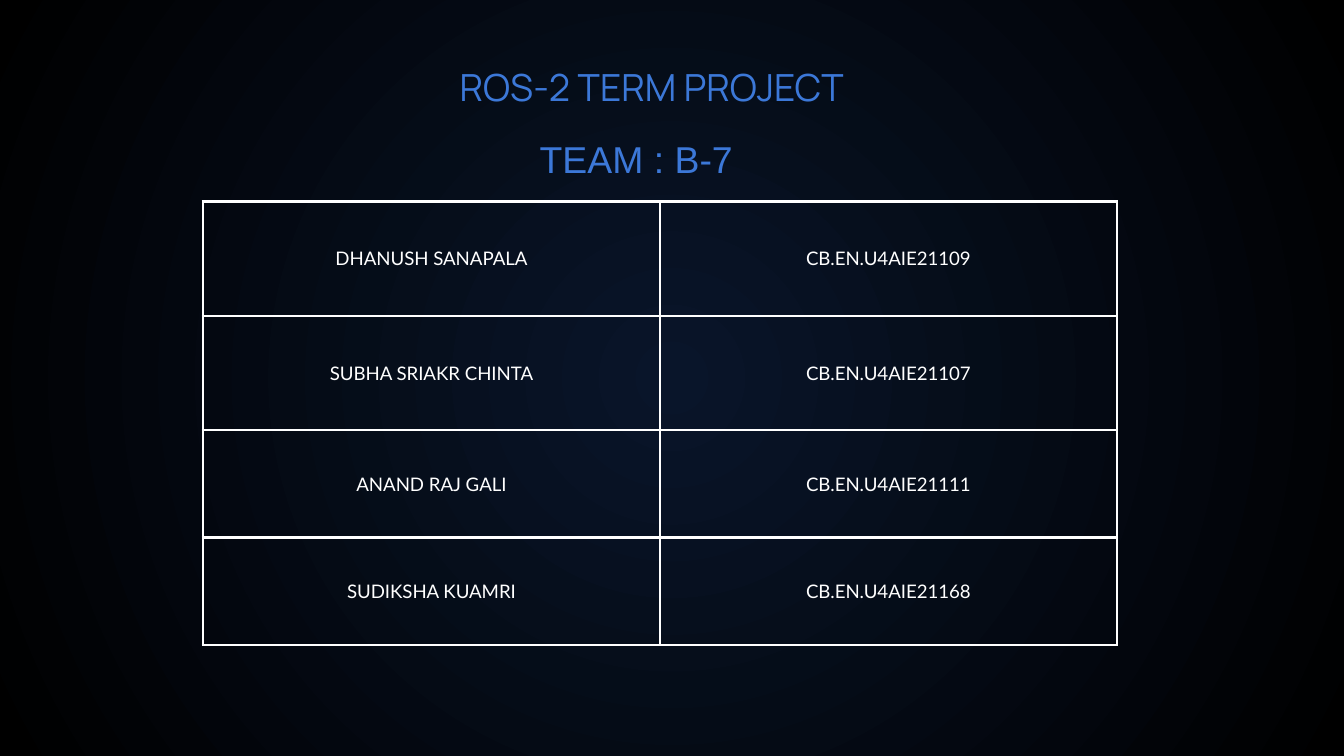
from dataclasses import dataclass

import pptx
import pptx.dml.color
import pptx.enum.text
import pptx.oxml
import pptx.oxml.ns
import pptx.util
from pptx.util import Inches


@dataclass(frozen=True)
class Theme:
    glow: str = "09152A"
    edge: str = "000000"
    heading: str = "3C78D8"
    light: str = "FFFFFF"
    heading_size: int = 20
    cell_size: int = 10
    border_width: float = 1.5


THEME = Theme()
MEMBERS = [
    ("DHANUSH SANAPALA", "CB.EN.U4AIE21109"),
    ("SUBHA SRIAKR CHINTA", "CB.EN.U4AIE21107"),
    ("ANAND RAJ GALI", "CB.EN.U4AIE21111"),
    ("SUDIKSHA KUAMRI", "CB.EN.U4AIE21168"),
]
ROW_HEIGHTS = [0.85, 0.85, 0.8, 0.8]
COLUMN_WIDTH = 3.4


def rgb(color):
    return pptx.dml.color.RGBColor.from_string(color)


def drawing_xml(tag, attributes, content):
    namespace = pptx.oxml.ns.nsdecls("a")
    return pptx.oxml.parse_xml(f"<a:{tag} {namespace} {attributes}>{content}</a:{tag}>")


def paint_background(slide):
    fill = slide.background.fill
    fill.gradient()
    for stop, color in zip(fill.gradient_stops, (THEME.glow, THEME.edge)):
        stop.color.rgb = rgb(color)
    gradient = next(slide.element.iter(pptx.oxml.ns.qn("a:gradFill")))
    linear = gradient.find(pptx.oxml.ns.qn("a:lin"))
    center = '<a:fillToRect l="50000" t="50000" r="50000" b="50000"/>'
    gradient.replace(linear, drawing_xml("path", 'path="circle"', center))


def write_centered(paragraph, text, size, font, color):
    paragraph.alignment = pptx.enum.text.PP_ALIGN.CENTER
    run = paragraph.add_run()
    run.text = text
    run.font.size = pptx.util.Pt(size)
    run.font.name = font
    run.font.color.rgb = rgb(color)


def add_heading(slide, text, font, left, top, width, right_inset=0.1):
    shape = slide.shapes.add_textbox(
        Inches(left), Inches(top), Inches(width), Inches(0.47))
    frame = shape.text_frame
    frame.word_wrap = True
    frame.margin_left = frame.margin_top = frame.margin_bottom = Inches(0.1)
    frame.margin_right = Inches(right_inset)
    write_centered(frame.paragraphs[0], text, THEME.heading_size, font, THEME.heading)


def add_borders(cell):
    properties = cell._tc.get_or_add_tcPr()
    width = pptx.util.Pt(THEME.border_width)
    line = f'<a:solidFill><a:srgbClr val="{THEME.light}"/></a:solidFill>'
    for index, side in enumerate(("lnL", "lnR", "lnT", "lnB")):
        properties.insert(index, drawing_xml(side, f'w="{width}"', line))


def fill_cell(cell, text):
    cell.fill.background()
    cell.vertical_anchor = pptx.enum.text.MSO_ANCHOR.MIDDLE
    cell.margin_left = cell.margin_right = Inches(0.1)
    cell.margin_top = cell.margin_bottom = Inches(0.1)
    paragraph = cell.text_frame.paragraphs[0]
    paragraph.space_after = pptx.util.Pt(16)
    write_centered(paragraph, text, THEME.cell_size, "Lato", THEME.light)
    add_borders(cell)


def add_member_table(slide, left, top):
    columns = len(MEMBERS[0])
    table = slide.shapes.add_table(
        len(MEMBERS), columns, Inches(left), Inches(top),
        Inches(COLUMN_WIDTH * columns), Inches(sum(ROW_HEIGHTS))).table
    table.first_row = False
    table.horz_banding = False
    for column in table.columns:
        column.width = Inches(COLUMN_WIDTH)
    for row, height, member in zip(table.rows, ROW_HEIGHTS, MEMBERS):
        row.height = Inches(height)
        for cell, text in zip(row.cells, member):
            fill_cell(cell, text)


def main():
    presentation = pptx.Presentation()
    presentation.slide_width = Inches(10)
    presentation.slide_height = Inches(10) * 9 // 16
    slide = presentation.slides.add_slide(presentation.slide_layouts[6])
    paint_background(slide)
    add_heading(slide, "TEAM : B-7", "Arial", 3.49, 0.91, 2.71, right_inset=0.32)
    add_member_table(slide, 1.51, 1.5)
    add_heading(slide, "ROS-2 TERM PROJECT", "Manrope", 2.65, 0.38, 4.4)
    presentation.save("out.pptx")


main()
